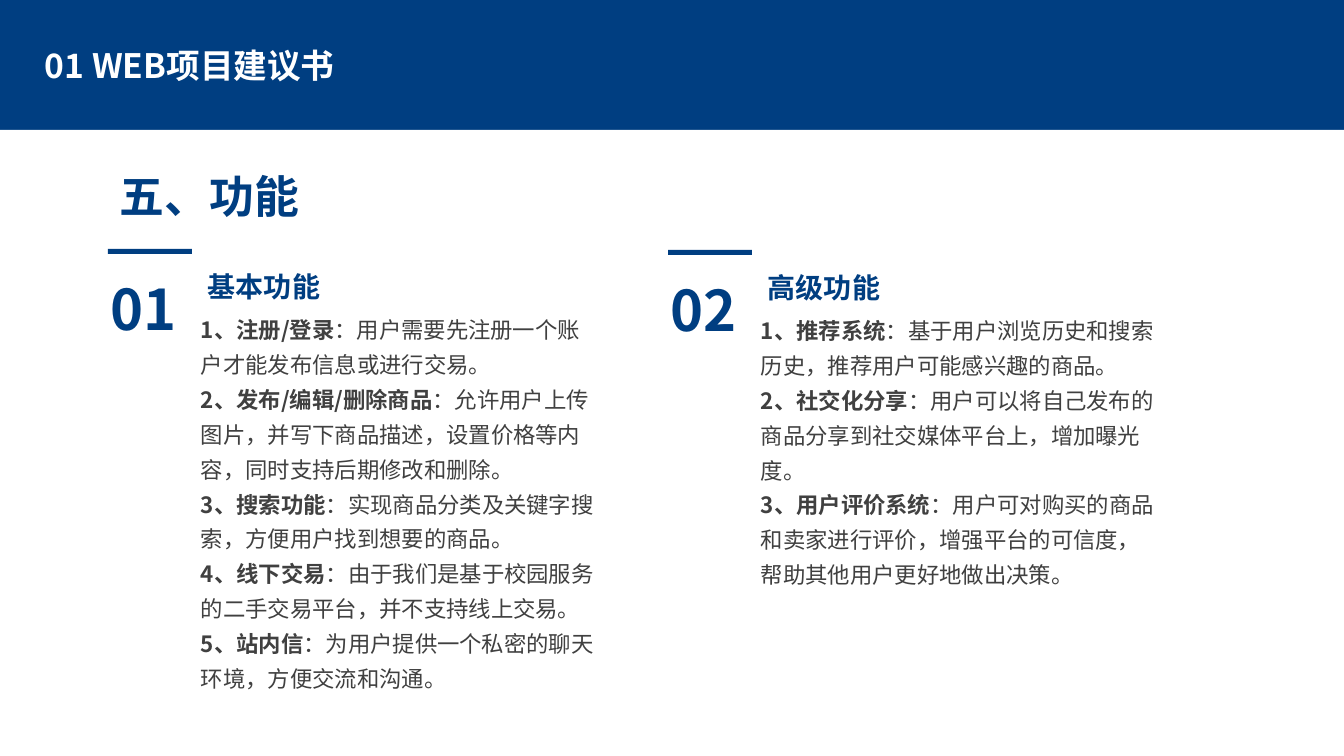
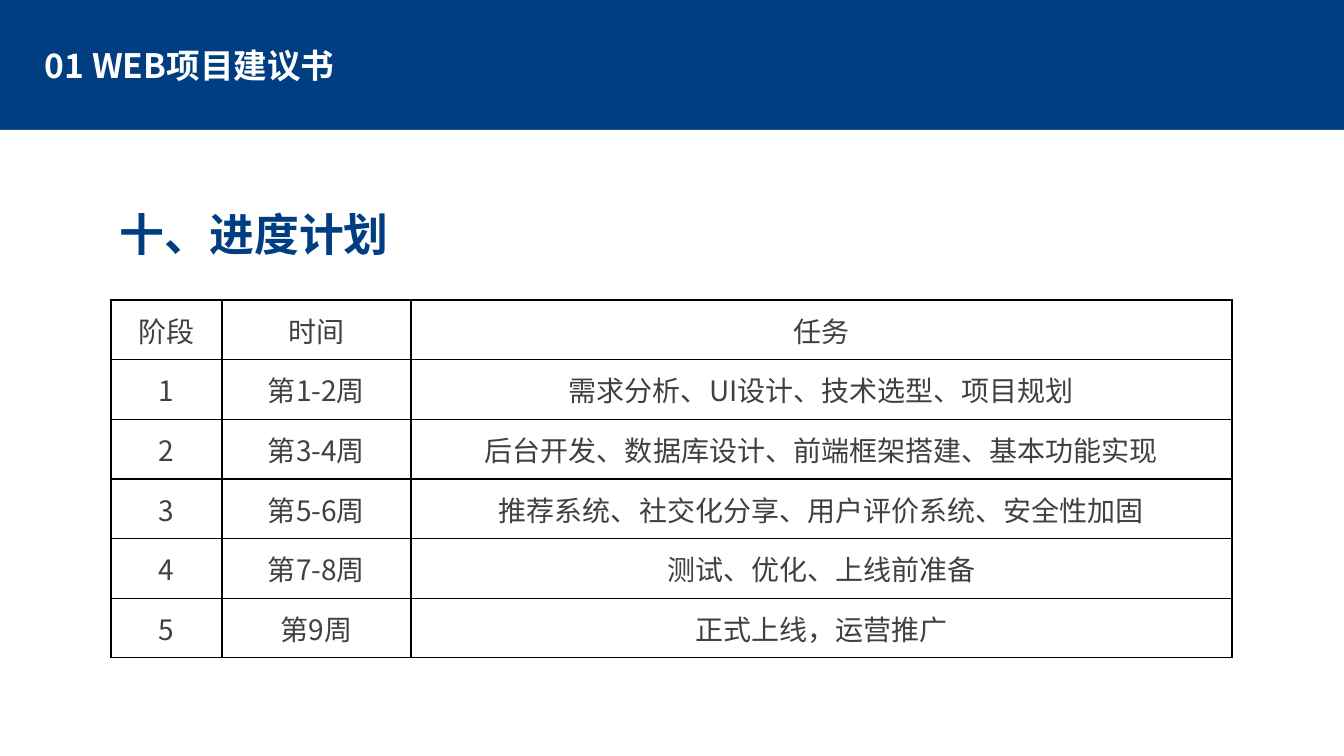
from lxml import etree
from pptx import Presentation
from pptx.dml.color import RGBColor
from pptx.enum.shapes import MSO_SHAPE
from pptx.enum.text import MSO_ANCHOR, PP_ALIGN
from pptx.oxml.ns import qn
from pptx.util import Emu, Pt

RECT = MSO_SHAPE.RECTANGLE
MID = MSO_ANCHOR.MIDDLE
MID_ROW = PP_ALIGN.CENTER
FACE = "Noto Sans CJK SC"
HUES = {"blue": "003E81", "white": "FFFFFF", "gray": "404040", "black": "000000"}
PX = 914400 / 100.8


def style(run, size, hue, bold):
    font = run.font
    font.size = Pt(size)
    font.bold = bold
    font.color.rgb = RGBColor.from_string(HUES[hue])
    font.name = FACE
    face = etree.SubElement(run._r.get_or_add_rPr(), qn("a:ea"))
    face.set("typeface", FACE)


def put(slide, spot, size, hue, text="", gap=1.3):
    box = slide.shapes.add_textbox(*[Emu(round(n * PX)) for n in spot])
    frame = box.text_frame
    frame.word_wrap = True
    if text:
        frame.text = text
        para = frame.paragraphs[0]
        para.line_spacing = gap
        style(para.runs[0], size, hue, True)
    return frame


deck = Presentation()
deck.slide_width = Emu(round(1344 * PX))
deck.slide_height = Emu(round(756 * PX))

pages = []
for head, top, wide in [("五、功能", 148, 202), ("十、进度计划", 186, 291)]:
    slide = deck.slides.add_slide(deck.slide_layouts[6])
    back = slide.background.fill
    back.solid()
    back.fore_color.rgb = RGBColor.from_string(HUES["blue"])
    pages.append(slide)
    bars = [((0, 130, 1344, 626), "white")]
    if len(pages) == 1:
        bars += [((108, 249, 84, 5), "blue"), ((668, 250, 84, 5), "blue")]
    for spot, hue in bars:
        bar = slide.shapes.add_shape(RECT, *[Emu(round(n * PX)) for n in spot])
        bar.shadow.inherit = False
        bar.fill.solid()
        bar.fill.fore_color.rgb = RGBColor.from_string(HUES[hue])
        bar.line.fill.background()
    band = put(slide, (35, 28, 585, 80), 24, "white", "01 WEB项目建议书", 0.9)
    band.vertical_anchor = MID
    title = put(slide, (110, top, wide, 74), 32, "blue", head)
    title.word_wrap = False

parts = [
    (108, 249, "01", "基本功能", 395, [
        ("1、注册/登录", "：用户需要先注册一个账户才能发布信息或进行交易。"),
        ("2、发布/编辑/删除商品", "：允许用户上传图片，并写下商品描述，设置价格等内容，同时支持后期修改和删除。"),
        ("3、搜索功能", "：实现商品分类及关键字搜索，方便用户找到想要的商品。"),
        ("4、线下交易", "：由于我们是基于校园服务的二手交易平台，并不支持线上交易。"),
        ("5、站内信", "：为用户提供一个私密的聊天环境，方便交流和沟通。"),
    ]),
    (668, 250, "02", "高级功能", 289, [
        ("1、推荐系统", "：基于用户浏览历史和搜索历史，推荐用户可能感兴趣的商品。"),
        ("2、社交化分享", "：用户可以将自己发布的商品分享到社交媒体平台上，增加曝光度。"),
        ("3、用户评价系统", "：用户可对购买的商品和卖家进行评价，增强平台的可信度，帮助其他用户更好地做出决策。"),
    ]),
]
for left, top, mark, name, high, items in parts:
    put(pages[0], (left - 7, top, 90, 90), 40, "blue", mark)
    put(pages[0], (left + 90, top + 5, 133, 50), 20, "blue", name)
    frame = put(pages[0], (left + 83, top + 54, 418, high), 16, "gray")
    for spot, item in enumerate(items):
        para = frame.add_paragraph() if spot else frame.paragraphs[0]
        para.line_spacing = 1.3
        for text, bold in zip(item, (True, False)):
            run = para.add_run()
            run.text = text
            style(run, 16, "gray", bold)

rows = [
    ("阶段", "时间", "任务"),
    ("1", "第1-2周", "需求分析、UI设计、技术选型、项目规划"),
    ("2", "第3-4周", "后台开发、数据库设计、前端框架搭建、基本功能实现"),
    ("3", "第5-6周", "推荐系统、社交化分享、用户评价系统、安全性加固"),
    ("4", "第7-8周", "测试、优化、上线前准备"),
    ("5", "第9周", "正式上线，运营推广"),
]
wides = [111, 189, 821]
spot = (111, 300, sum(wides), 358)
grid = pages[1].shapes.add_table(
    len(rows), len(wides), *[Emu(round(n * PX)) for n in spot]).table
grid.first_row = False
grid.horz_banding = False
for col, wide in zip(grid.columns, wides):
    col.width = Emu(round(wide * PX))
for line, texts in zip(grid.rows, rows):
    line.height = Emu(round(358 * PX / len(rows)))
    for cell, text in zip(line.cells, texts):
        cell.text_frame.text = text
        cell.vertical_anchor = MID
        cell.margin_left = cell.margin_right = Emu(round(7 * PX))
        cell.margin_top = cell.margin_bottom = 0
        para = cell.text_frame.paragraphs[0]
        para.alignment = MID_ROW
        style(para.runs[0], 20, "gray", False)
        cell.fill.background()
        props = cell._tc.get_or_add_tcPr()
        for at, side in enumerate(("lnL", "lnR", "lnT", "lnB")):
            edge = etree.Element(qn("a:" + side), w=str(Pt(1)))
            fill = etree.SubElement(edge, qn("a:solidFill"))
            etree.SubElement(fill, qn("a:srgbClr"), val=HUES["black"])
            props.insert(at, edge)

deck.save("out.pptx")
